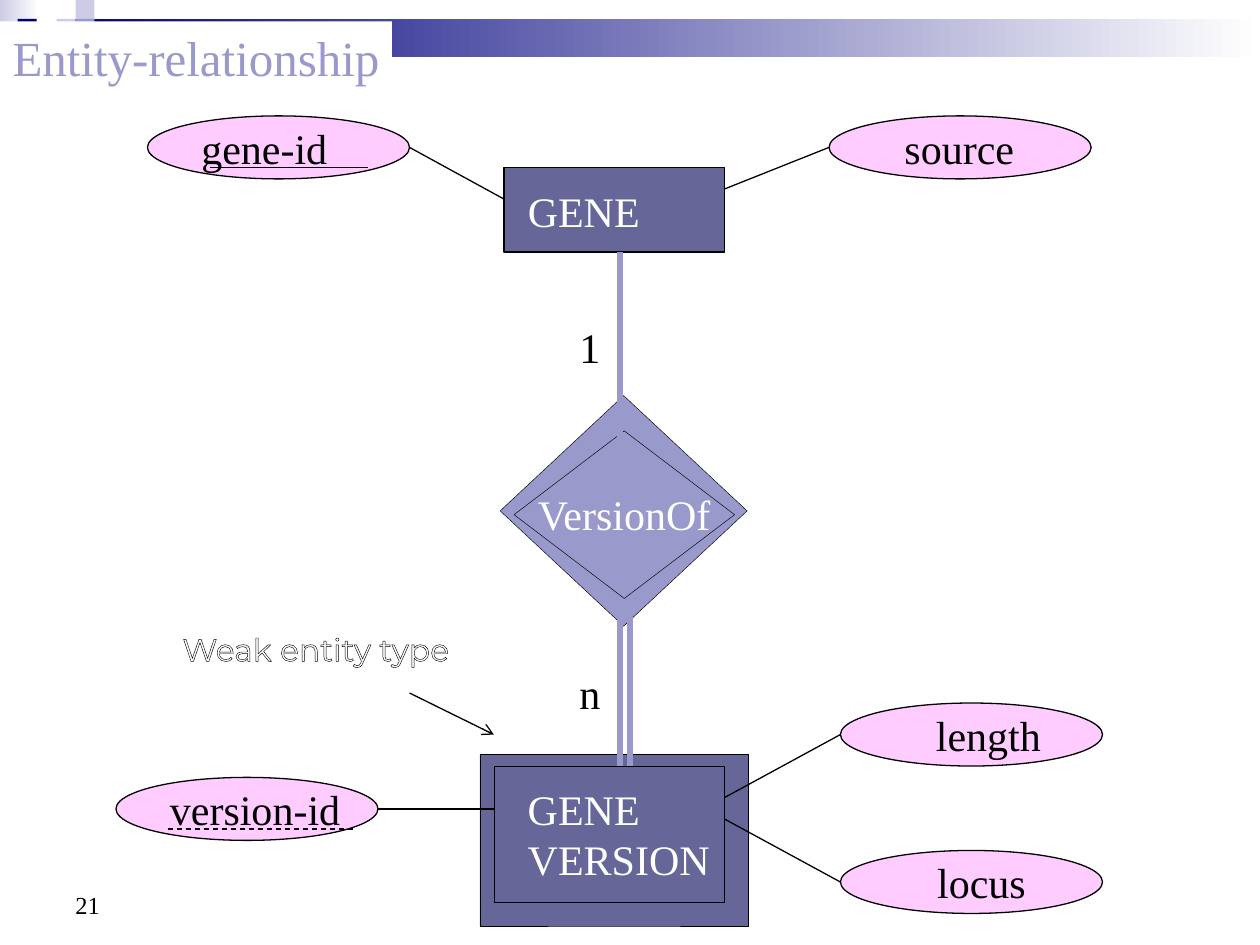
from dataclasses import dataclass

from lxml import etree
from pptx import Presentation
from pptx.dml.color import RGBColor
from pptx.enum.dml import MSO_LINE
from pptx.enum.shapes import MSO_CONNECTOR, MSO_SHAPE
from pptx.enum.text import MSO_ANCHOR, MSO_AUTO_SIZE, PP_ALIGN
from pptx.oxml.ns import qn
from pptx.util import Inches, Pt

RECT = MSO_SHAPE.RECTANGLE
DIAMOND = MSO_SHAPE.DIAMOND
ELLIPSE = MSO_SHAPE.OVAL
STRAIGHT = MSO_CONNECTOR.STRAIGHT
DASH = MSO_LINE.DASH
TOP = MSO_ANCHOR.TOP
BOTTOM = MSO_ANCHOR.BOTTOM
LEFT = PP_ALIGN.LEFT
NO_FIT = MSO_AUTO_SIZE.NONE

BLACK, WHITE = "000000", "FFFFFF"
NAVY, LAVENDER, PALE = "00007D", "9999CC", "CCCCE6"
SLATE, PINK = "666699", "FFCCFF"
SERIF, SANS = "Times New Roman", "Montserrat"
THIN, MEDIUM, THICK = 0.25, 0.75, 3

Box = tuple[float, float, float, float]
Point = tuple[float, float]


@dataclass
class Panel:
    kind: int
    box: Box
    fill: str
    fade_to: str = ""
    line_width: float = 0


@dataclass
class Label:
    lines: list[str]
    box: Box
    color: str = BLACK
    size: float = 24
    font: str = SERIF
    outline: str = ""
    anchor: int = TOP


@dataclass
class Attribute:
    name: str
    left: float
    top: float
    text_left: float
    text_width: float


@dataclass
class Link:
    start: Point
    end: Point
    color: str = BLACK
    width: float = MEDIUM
    dashed: bool = False
    arrow: bool = False


def rgb(value: str) -> RGBColor:
    return RGBColor.from_string(value)


def draw_panel(slide, panel: Panel) -> None:
    shape = slide.shapes.add_shape(panel.kind, *map(Inches, panel.box))
    shape.shadow.inherit = False
    if panel.fade_to:
        shape.fill.gradient()
        shape.fill.gradient_angle = 0
        for stop, color in zip(shape.fill.gradient_stops, (panel.fill, panel.fade_to)):
            stop.color.rgb = rgb(color)
    else:
        shape.fill.solid()
        shape.fill.fore_color.rgb = rgb(panel.fill)
    if panel.line_width:
        shape.line.color.rgb = rgb(BLACK)
        shape.line.width = Pt(panel.line_width)
    else:
        shape.line.fill.background()


def write_label(shape, label: Label) -> None:
    shape.left, shape.top, shape.width, shape.height = map(Inches, label.box)
    frame = shape.text_frame
    frame.word_wrap = True
    frame.auto_size = NO_FIT
    frame.margin_right = 0
    frame.vertical_anchor = label.anchor
    for index, line in enumerate(label.lines):
        paragraph = frame.add_paragraph() if index else frame.paragraphs[0]
        paragraph.alignment = LEFT
        run = paragraph.add_run()
        run.text = line
        run.font.name = label.font
        run.font.size = Pt(label.size)
        run.font.color.rgb = rgb(label.color)
        if label.outline:
            border = etree.Element(qn("a:ln"), w=str(Pt(MEDIUM)))
            fill = etree.SubElement(border, qn("a:solidFill"))
            etree.SubElement(fill, qn("a:srgbClr"), val=label.outline)
            run.font._element.insert(0, border)


def draw_label(slide, label: Label) -> None:
    write_label(slide.shapes.add_textbox(*map(Inches, label.box)), label)


def draw_attribute(slide, attribute: Attribute) -> None:
    draw_panel(slide, Panel(ELLIPSE, (attribute.left, attribute.top, 2.08, 0.5), PINK,
                            line_width=MEDIUM))
    draw_label(slide, Label([attribute.name],
                            (attribute.text_left, attribute.top, attribute.text_width, 0.5)))


def draw_link(slide, link: Link) -> None:
    connector = slide.shapes.add_connector(STRAIGHT, *map(Inches, link.start + link.end))
    connector.line.color.rgb = rgb(link.color)
    connector.line.width = Pt(link.width)
    if link.dashed:
        connector.line.dash_style = DASH
    properties = connector._element.spPr
    if link.arrow:
        etree.SubElement(properties.find(qn("a:ln")), qn("a:tailEnd"), type="arrow")
    etree.SubElement(properties, qn("a:effectLst"))


def draw_title(slide, label: Label) -> None:
    title = slide.shapes.title
    title.fill.solid()
    title.fill.fore_color.rgb = rgb(WHITE)
    write_label(title, label)
    slide.shapes._spTree.append(title._element)


PANELS = [
    Panel(RECT, (0, 0, 0.31, 0.58), PALE, WHITE),
    Panel(RECT, (0.45, 0.15, 9.55, 0.3), NAVY, WHITE),
    Panel(RECT, (0.45, 0.15, 0.15, 0.15), PALE),
    Panel(RECT, (0.6, 0, 0.15, 0.15), PALE),
    Panel(RECT, (0.6, 0.15, 0.15, 0.15), LAVENDER),
    Panel(RECT, (0.14, 0.15, 0.15, 0.15), NAVY),
    Panel(DIAMOND, (3.97, 3.14, 1.96, 1.83), LAVENDER, line_width=THIN),
    Panel(DIAMOND, (4.08, 3.42, 1.75, 1.33), LAVENDER, line_width=THIN),
    Panel(RECT, (4, 1.33, 1.75, 0.67), SLATE, line_width=MEDIUM),
    Panel(RECT, (3.81, 5.99, 2.13, 1.36), SLATE, line_width=THIN),
    Panel(RECT, (3.92, 6.08, 1.83, 1.08), SLATE, line_width=THIN),
]

ATTRIBUTES = [
    Attribute("gene-id", 1.17, 0.92, 1.5, 1.2),
    Attribute("source", 6.58, 0.92, 7.08, 1.07),
    Attribute("version-id", 0.92, 6.17, 1.25, 1.55),
    Attribute("length", 6.67, 5.58, 7.33, 1.03),
    Attribute("locus", 6.67, 6.75, 7.34, 0.9),
]

LABELS = [
    Label(["21"], (0.5, 6.83, 2.33, 0.52), size=14, anchor=BOTTOM),
    Label(["VersionOf"], (4.17, 3.83, 1.6, 0.5), WHITE),
    Label(["GENE"], (4.09, 1.42, 1.09, 0.5), WHITE),
    Label(["GENE", "VERSION"], (4.09, 6.17, 1.64, 0.9), WHITE),
    Label(["1"], (4.5, 2.5, 0.36, 0.5)),
    Label(["n"], (4.5, 5.25, 0.36, 0.5)),
    Label(["Weak entity type"], (1.35, 4.95, 2.6, 0.34), WHITE, 18, SANS, BLACK),
]

LINKS = [
    Link((4, 1.58), (3.25, 1.17)),
    Link((5.75, 1.5), (6.58, 1.17)),
    Link((5.75, 6.33), (6.67, 5.83)),
    Link((5.75, 6.5), (6.67, 7)),
    Link((3.92, 6.42), (3, 6.42)),
    Link((4.92, 3.5), (4.92, 2), LAVENDER, THICK),
    Link((4.92, 4.75), (4.92, 6.08), LAVENDER, THICK),
    Link((5, 4.75), (5, 6.08), LAVENDER, THICK),
    Link((1.67, 1.33), (2.92, 1.33)),
    Link((1.33, 6.58), (2.83, 6.58), dashed=True),
    Link((3.25, 5.5), (3.92, 5.83), arrow=True),
]

TITLE = Label(["Entity-relationship"], (0, 0.17, 3.11, 0.57), LAVENDER, 28)


def main() -> None:
    deck = Presentation()
    deck.slide_width, deck.slide_height = Inches(10), Inches(7.5)
    slide = deck.slides.add_slide(deck.slide_layouts.get_by_name("Title Only"))
    for draw, items in ((draw_panel, PANELS), (draw_attribute, ATTRIBUTES),
                        (draw_label, LABELS), (draw_link, LINKS)):
        for item in items:
            draw(slide, item)
    draw_title(slide, TITLE)
    deck.save("out.pptx")


if __name__ == "__main__":
    main()
